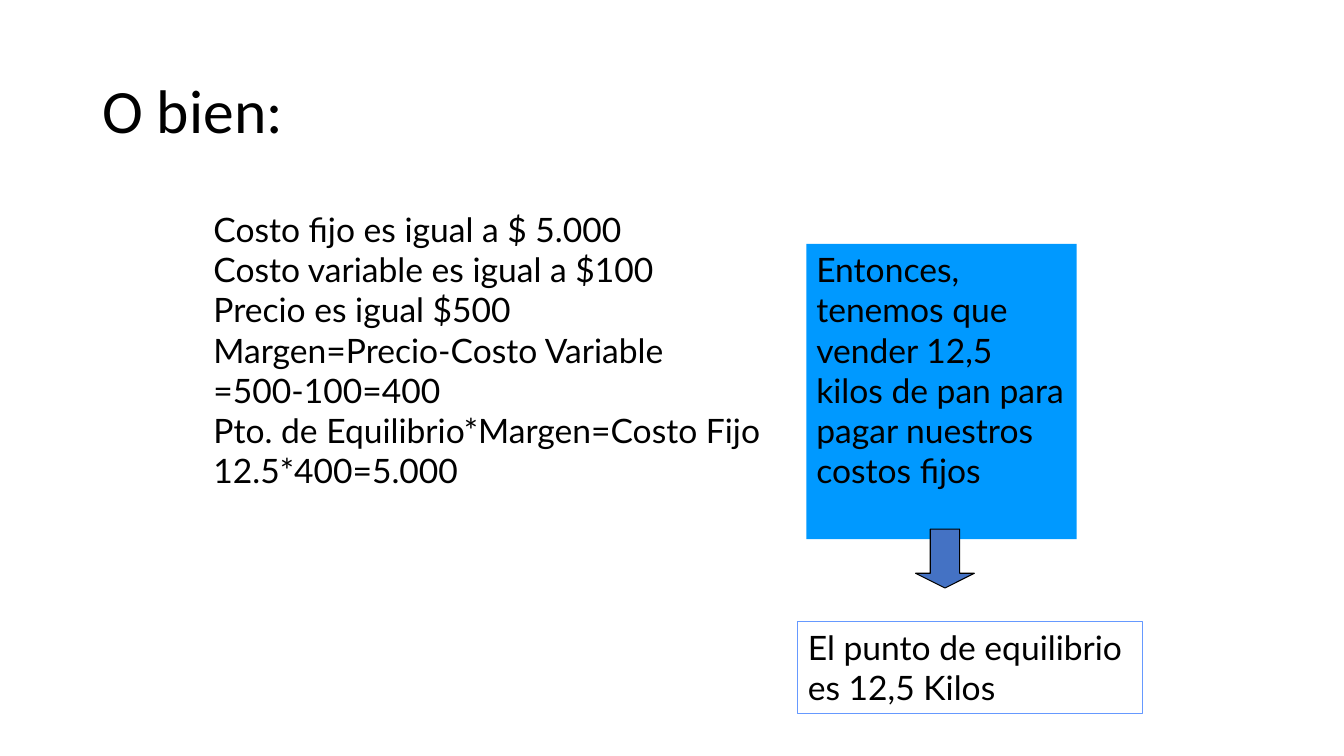
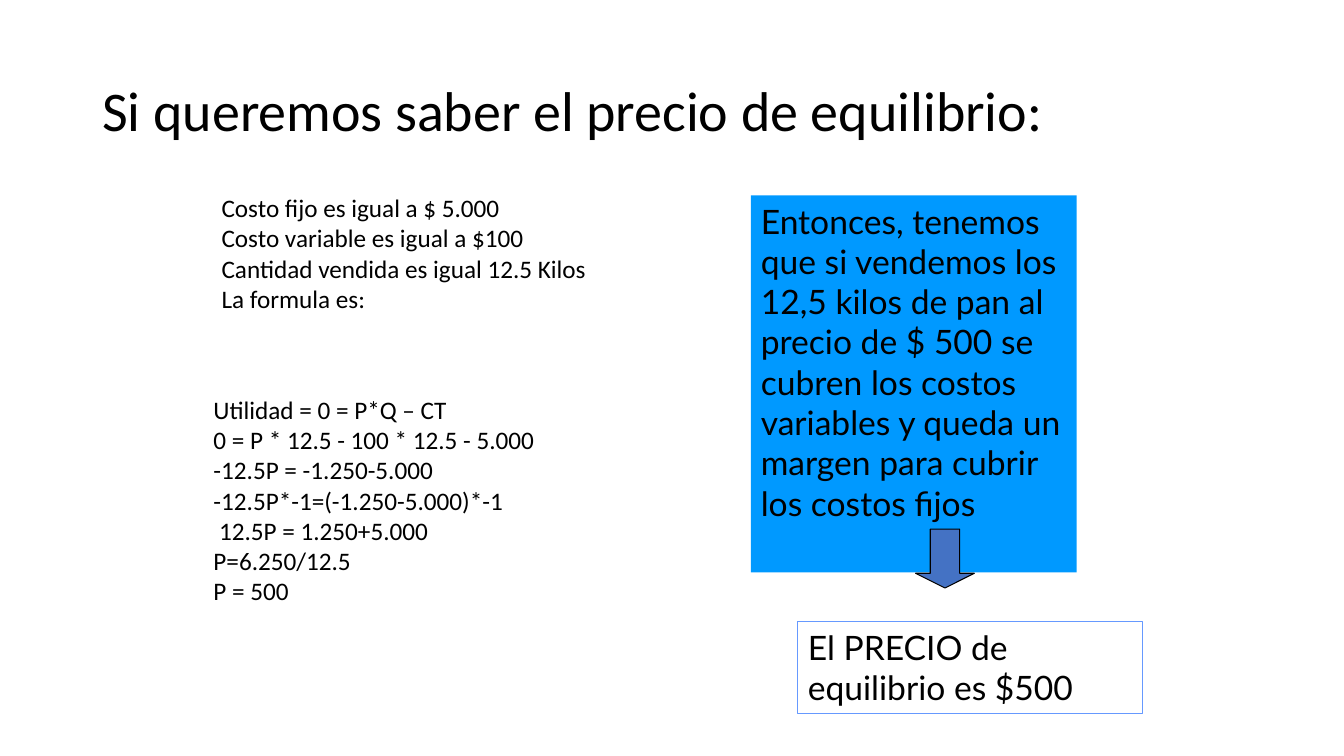
"""Build two slides on the break-even quantity and the break-even price."""
import dataclasses

import pptx
import pptx.dml.color
import pptx.enum.shapes
import pptx.enum.text
import pptx.util

Pt = pptx.util.Pt
SHAPES = pptx.enum.shapes.MSO_SHAPE
ANCHORS = pptx.enum.text.MSO_ANCHOR


@dataclasses.dataclass(frozen=True)
class Theme:
    text: str = "000000"
    panel: str = "0099FF"
    arrow: str = "4472C4"
    frame: str = "6699FF"
    heading_font: str = "Calibri"
    body_font: str = "Lato"
    body_size: int = 24
    working_size: int = 18
    line_width: float = 0.75


theme = Theme()


def add_shape(page, kind, place, fill=None, line=None):
    shape = page.shapes.add_shape(kind, *map(Pt, place))
    shape.shadow.inherit = False
    if fill:
        shape.fill.solid()
        shape.fill.fore_color.rgb = pptx.dml.color.RGBColor.from_string(fill)
    else:
        shape.fill.background()
    if line:
        shape.line.color.rgb = pptx.dml.color.RGBColor.from_string(line)
        shape.line.width = Pt(theme.line_width)
    else:
        shape.line.fill.background()
    return shape


def write_lines(box, lines, font, size, anchor=ANCHORS.TOP, spacing=1.0, indents=None):
    frame = box.text_frame
    frame.word_wrap = True
    frame.vertical_anchor = anchor
    for index, line in enumerate(lines):
        para = frame.paragraphs[0] if index == 0 else frame.add_paragraph()
        para.alignment = pptx.enum.text.PP_ALIGN.LEFT
        para.line_spacing = spacing
        if indents and line in indents:
            para._p.get_or_add_pPr().set("marL", str(Pt(indents[line])))
        span = para.add_run()
        span.text = line
        span.font.name = font
        span.font.size = Pt(size)
        span.font.color.rgb = pptx.dml.color.RGBColor.from_string(theme.text)


title_place = (66, 28.8, 828, 104.4)
arrow_place = (654, 378, 42, 42)
result_place = (570, 444, 246, 65.6)
indents = {"12.5P = 1.250+5.000": 4}

slides = [
    {
        "title": "O bien:",
        "title_size": 44,
        "columns": [
            ((145.4, 145.4, 441.4, 239.8), theme.body_font, theme.body_size, [
                "Costo fijo es igual a $ 5.000",
                "Costo variable es igual a $100",
                "Precio es igual $500",
                "Margen=Precio-Costo Variable",
                "=500-100=400",
                "Pto. de Equilibrio*Margen=Costo Fijo",
                "12.5*400=5.000",
            ]),
        ],
        "panel_place": (576, 174.2, 193, 211),
        "panel": "Entonces, tenemos que vender 12,5 kilos de pan para pagar nuestros costos fijos",
        "result": "El punto de equilibrio es 12,5 Kilos",
    },
    {
        "title": "Si queremos saber el precio de equilibrio:",
        "title_size": 40,
        "columns": [
            ((151.2, 134, 340.6, 93.6), theme.heading_font, theme.working_size, [
                "Costo fijo es igual a $ 5.000",
                "Costo variable es igual a $100",
                "Cantidad vendida es igual 12.5 Kilos",
                "La formula es:",
            ]),
            ((145.4, 278, 385.2, 158.4), theme.heading_font, theme.working_size, [
                "Utilidad = 0 = P*Q – CT",
                "0 = P * 12.5 - 100 * 12.5 - 5.000",
                "-12.5P = -1.250-5.000",
                "-12.5P*-1=(-1.250-5.000)*-1",
                "12.5P = 1.250+5.000",
                "P=6.250/12.5",
                "P = 500",
            ]),
        ],
        "panel_place": (536.4, 139.6, 232.6, 269.2),
        "panel": "Entonces, tenemos que si vendemos los 12,5 kilos de pan al precio de $ 500 "
                 "se cubren los costos variables y queda un margen para cubrir los costos fijos",
        "result": "El PRECIO de equilibrio es $500",
    },
]

deck = pptx.Presentation()
deck.slide_width, deck.slide_height = Pt(960), Pt(540)

for content in slides:
    page = deck.slides.add_slide(deck.slide_layouts[6])

    title = page.shapes.add_textbox(*map(Pt, title_place))
    write_lines(title, [content["title"]], theme.heading_font, content["title_size"],
                ANCHORS.MIDDLE, 0.9)

    for place, font, size, lines in content["columns"]:
        column = page.shapes.add_textbox(*map(Pt, place))
        write_lines(column, lines, font, size, indents=indents)

    panel = add_shape(page, SHAPES.RECTANGLE, content["panel_place"], fill=theme.panel)
    write_lines(panel, [content["panel"]], theme.body_font, theme.body_size)

    add_shape(page, SHAPES.DOWN_ARROW, arrow_place, fill=theme.arrow, line=theme.text)
    page.shapes[-1].adjustments[1] = 0.25

    result = add_shape(page, SHAPES.RECTANGLE, result_place, line=theme.frame)
    write_lines(result, [content["result"]], theme.body_font, theme.body_size)

deck.save("out.pptx")
